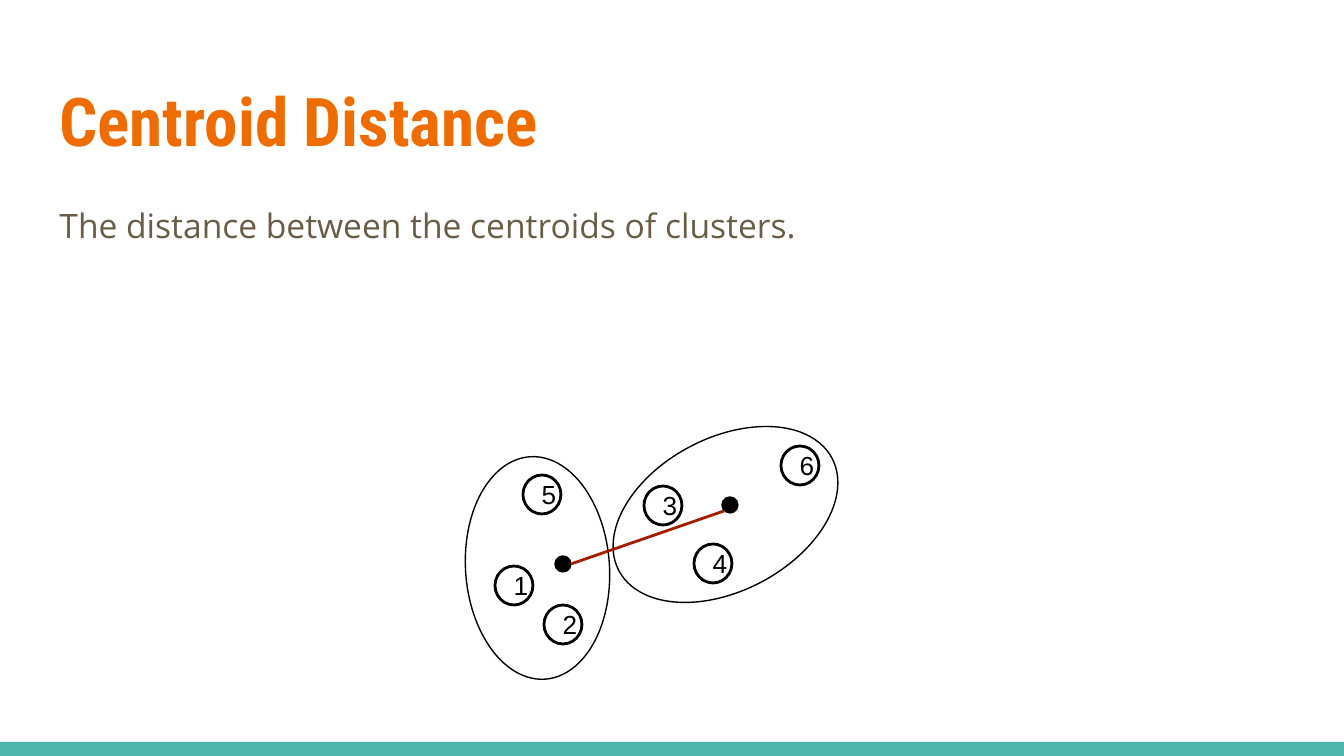
from dataclasses import dataclass

import pptx
import pptx.dml.color
import pptx.enum.shapes
import pptx.enum.text
import pptx.oxml
import pptx.oxml.ns
import pptx.util

PX_PER_INCH = 134.4
SHAPES = pptx.enum.shapes.MSO_SHAPE
ANCHORS = pptx.enum.text.MSO_ANCHOR


@dataclass(frozen=True)
class Theme:
    bar: str = "4DB6AC"
    title: str = "EF6C00"
    body: str = "695D46"
    ink: str = "000000"
    link: str = "A61C00"
    title_font: str = "Roboto Condensed"
    body_font: str = "Open Sans"
    label_font: str = "Arial"
    title_size: int = 36
    body_size: int = 18
    label_size: int = 14
    thin: float = 0.75
    thick: float = 1.5


@dataclass(frozen=True)
class Box:
    left: int
    top: int
    width: int
    height: int


@dataclass(frozen=True)
class Point:
    label: str
    left: int
    top: int


@dataclass(frozen=True)
class Cluster:
    outline: Box
    rotation: float
    centroid: Box
    points: tuple[Point, ...]


THEME = Theme()
POINT_WIDTH, POINT_HEIGHT = 38, 39
CLUSTERS = (
    Cluster(Box(426, 496, 223, 144), 86.1, Box(555, 556, 16, 16),
            (Point("1", 495, 566), Point("2", 544, 605), Point("5", 523, 475))),
    Cluster(Box(605, 438, 241, 153), 332.2, Box(722, 497, 16, 16),
            (Point("3", 644, 486), Point("4", 694, 544), Point("6", 781, 446))),
)


def px(length: int) -> pptx.util.Emu:
    return pptx.util.Emu(round(length * 914400 / PX_PER_INCH))


def rgb(color: str) -> pptx.dml.color.RGBColor:
    return pptx.dml.color.RGBColor.from_string(color)


def place(shape, box: Box) -> None:
    shape.left, shape.top = px(box.left), px(box.top)
    shape.width, shape.height = px(box.width), px(box.height)


def write_text(shape, text: str, *, font: str, size: int, color: str, bold: bool = False,
               anchor=ANCHORS.TOP, line_spacing: float = 1.0, space_after: int = 0) -> None:
    frame = shape.text_frame
    frame.word_wrap = True
    frame.auto_size = pptx.enum.text.MSO_AUTO_SIZE.NONE
    frame.vertical_anchor = anchor
    inset = pptx.util.Inches(0.1)
    frame.margin_left = frame.margin_right = frame.margin_top = frame.margin_bottom = inset
    frame.text = text
    paragraph = frame.paragraphs[0]
    properties = paragraph._p.get_or_add_pPr()
    properties.set("marL", "0")
    properties.set("indent", "0")
    properties.append(pptx.oxml.parse_xml(f'<a:buNone {pptx.oxml.ns.nsdecls("a")}/>'))
    paragraph.alignment = pptx.enum.text.PP_ALIGN.LEFT
    paragraph.line_spacing = line_spacing
    paragraph.space_before = pptx.util.Pt(0)
    paragraph.space_after = pptx.util.Pt(space_after)
    style = paragraph.runs[0].font
    style.name, style.size, style.bold = font, pptx.util.Pt(size), bold
    style.color.rgb = rgb(color)


def draw_shape(slide, kind, box: Box, *, fill: str | None = None, line: str | None = None,
               weight: float = THEME.thin, rotation: float = 0):
    shape = slide.shapes.add_shape(kind, px(box.left), px(box.top), px(box.width), px(box.height))
    shape.shadow.inherit = False
    shape.rotation = rotation
    if fill:
        shape.fill.solid()
        shape.fill.fore_color.rgb = rgb(fill)
    else:
        shape.fill.background()
    if line:
        shape.line.color.rgb = rgb(line)
        shape.line.width = pptx.util.Pt(weight)
    else:
        shape.line.fill.background()
    return shape


def draw_point(slide, point: Point) -> None:
    circle = draw_shape(slide, SHAPES.OVAL, Box(point.left, point.top, POINT_WIDTH, POINT_HEIGHT),
                        line=THEME.ink, weight=THEME.thick)
    write_text(circle, point.label, font=THEME.label_font, size=THEME.label_size,
               color=THEME.ink, anchor=ANCHORS.MIDDLE)


def draw_cluster(slide, cluster: Cluster) -> None:
    for point in cluster.points:
        draw_point(slide, point)
    draw_shape(slide, SHAPES.OVAL, cluster.outline, line=THEME.ink, rotation=cluster.rotation)
    draw_shape(slide, SHAPES.OVAL, cluster.centroid, fill=THEME.ink, line=THEME.ink)


def draw_distance(slide, start: tuple[int, int], end: tuple[int, int]) -> None:
    distance = slide.shapes.add_connector(pptx.enum.shapes.MSO_CONNECTOR.STRAIGHT,
                                          *map(px, start + end))
    distance.line.color.rgb = rgb(THEME.link)
    distance.line.width = pptx.util.Pt(THEME.thick)
    distance._element.spPr.append(
        pptx.oxml.parse_xml(f'<a:effectLst {pptx.oxml.ns.nsdecls("a")}/>'))


def main() -> None:
    deck = pptx.Presentation()
    deck.slide_width, deck.slide_height = px(1344), px(756)
    slide = deck.slides.add_slide(deck.slide_layouts[1])
    title, definition = slide.placeholders
    draw_shape(slide, SHAPES.RECTANGLE, Box(0, 742, 1344, 14), fill=THEME.bar)
    place(title, Box(46, 66, 1253, 103))
    write_text(title, "Centroid Distance", font=THEME.title_font, size=THEME.title_size,
               color=THEME.title, bold=True)
    place(definition, Box(46, 185, 1253, 70))
    write_text(definition, "The distance between the centroids of clusters.",
               font=THEME.body_font, size=THEME.body_size, color=THEME.body,
               line_spacing=1.15, space_after=16)
    for cluster in CLUSTERS:
        draw_cluster(slide, cluster)
    draw_distance(slide, (724, 511), (571, 564))
    deck.save("out.pptx")


if __name__ == "__main__":
    main()
